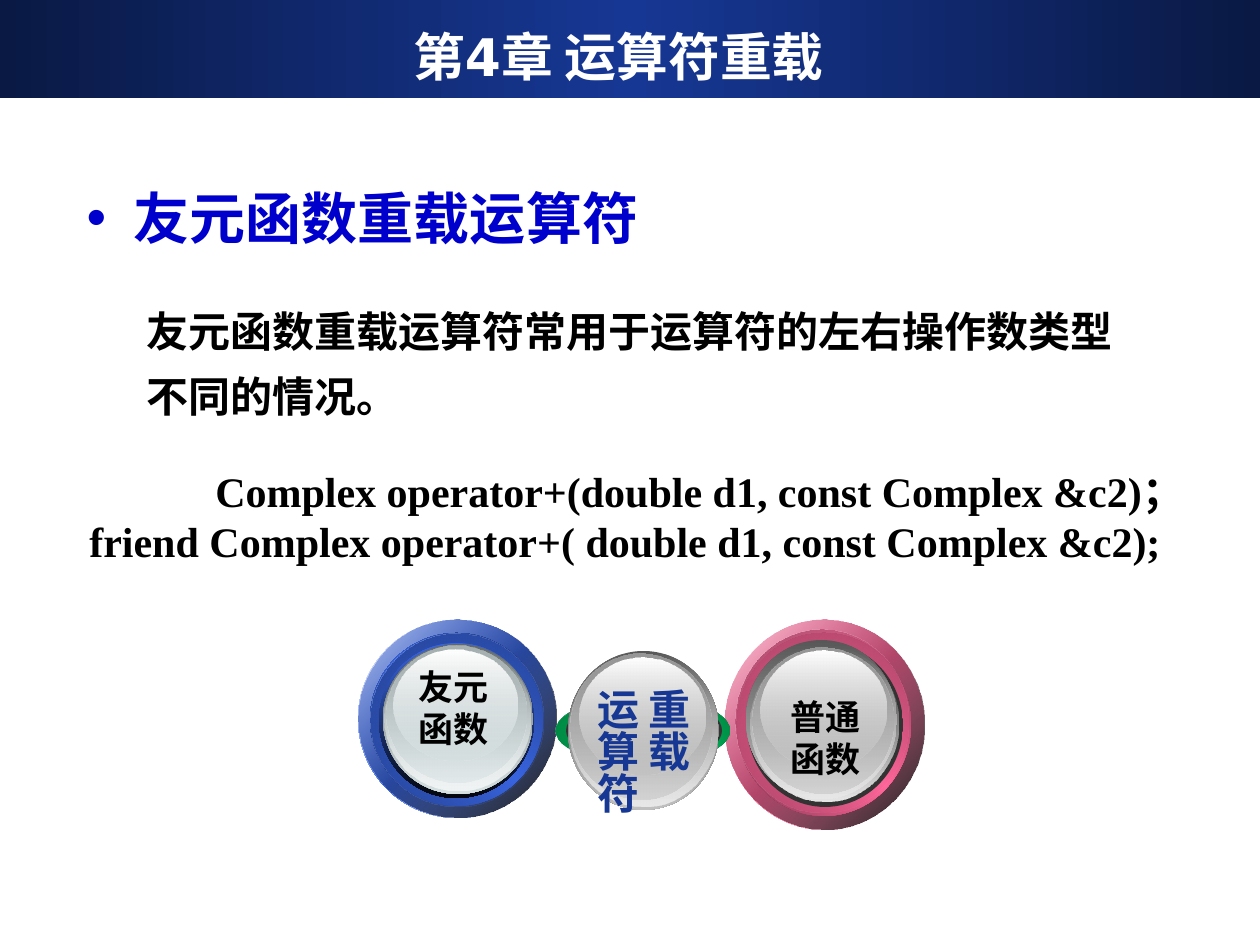
from typing import NamedTuple, Optional

from lxml.etree import SubElement
from pptx import Presentation
from pptx.dml.color import RGBColor
from pptx.enum.shapes import MSO_SHAPE
from pptx.enum.text import MSO_ANCHOR, MSO_AUTO_SIZE, PP_ALIGN
from pptx.oxml import parse_xml
from pptx.oxml.ns import nsdecls, qn
from pptx.util import Emu, Pt

WHITE = RGBColor(0xFF, 0xFF, 0xFF)
BLACK = RGBColor(0x00, 0x00, 0x00)
NAVY = RGBColor(0x16, 0x37, 0x94)
DEEP_NAVY = RGBColor(0x0A, 0x19, 0x44)
HEADING_BLUE = RGBColor(0x00, 0x00, 0xCC)
BULLET_RED = RGBColor(0xFF, 0x33, 0x00)
PINK = RGBColor(0xFF, 0x66, 0x99)
BLUE = RGBColor(0x39, 0x65, 0xE1)
GREEN = RGBColor(0x00, 0xCC, 0x66)
SILVER = RGBColor(0xC0, 0xC0, 0xC0)
ICE = RGBColor(0xD6, 0xE1, 0xE2)
CHARCOAL = RGBColor(0x33, 0x33, 0x33)
MIDNIGHT = RGBColor(0x03, 0x06, 0x0D)

CJK_FONT = "Noto Sans CJK SC"
PX = 914400 / 126


class Box(NamedTuple):
    left: int
    top: int
    width: int
    height: int


class Stop(NamedTuple):
    position: int
    color: RGBColor
    opacity: int = 100


class Style(NamedTuple):
    font: str
    size: float
    color: RGBColor
    align: PP_ALIGN = PP_ALIGN.LEFT
    spacing: float = 1.0


class Button(NamedTuple):
    accent: RGBColor
    glass: RGBColor
    well: tuple[RGBColor, RGBColor]
    rim: Box
    groove: Box
    bevel: Box
    hollow: Box
    lens: Box
    glow: Box
    dim: Box
    shine: Box
    lines: tuple[str, ...]
    label: Optional[Box] = None  # without a label box the text sits in the shine


BUTTONS = (
    Button(PINK, SILVER, (CHARCOAL, CHARCOAL),
           Box(725, 620, 199, 210), Box(737, 633, 174, 183),
           Box(735, 630, 173, 183), Box(747, 643, 156, 164),
           Box(746, 640, 151, 159), Box(751, 646, 147, 155),
           Box(753, 648, 140, 145), Box(761, 651, 125, 117),
           ("普通", "函数"), Box(779, 689, 94, 97)),
    Button(BLUE, ICE, (BLUE, MIDNIGHT),
           Box(358, 620, 198, 198), Box(370, 633, 173, 173),
           Box(370, 634, 173, 173), Box(379, 643, 155, 155),
           Box(383, 644, 150, 150), Box(384, 645, 146, 146),
           Box(387, 646, 140, 137), Box(394, 650, 123, 111),
           ("友元", "函数"), Box(407, 659, 94, 97)),
    Button(GREEN, SILVER, (CHARCOAL, CHARCOAL),
           Box(568, 697, 25, 67), Box(556, 697, 174, 67),
           Box(556, 697, 173, 67), Box(566, 697, 156, 67),
           Box(568, 651, 151, 159), Box(570, 651, 147, 155),
           Box(571, 654, 140, 145), Box(580, 658, 125, 117),
           ("重载", "运算符")),
)


def place(box: Box) -> tuple[Emu, ...]:
    return tuple(Emu(round(value * PX)) for value in box)


def move(shape, box: Box) -> None:
    shape.left, shape.top, shape.width, shape.height = place(box)


def darker(color: RGBColor, factor: float) -> RGBColor:
    return RGBColor(*(round(channel * factor) for channel in color))


def lighter(color: RGBColor, factor: float) -> RGBColor:
    return RGBColor(*(round(c + (255 - c) * factor) for c in color))


def add_gradient(slide, kind: MSO_SHAPE, box: Box, angle: int, *stops: Stop):
    shape = slide.shapes.add_shape(kind, *place(box))
    shape.shadow.inherit = False
    shape.line.fill.background()
    marks = "".join(
        f'<a:gs pos="{s.position * 1000}"><a:srgbClr val="{s.color}">'
        f'<a:alpha val="{s.opacity * 1000}"/></a:srgbClr></a:gs>'
        for s in stops)
    gradient = parse_xml(
        f'<a:gradFill {nsdecls("a")} rotWithShape="1"><a:gsLst>{marks}</a:gsLst>'
        f'<a:lin ang="{angle * 60000}" scaled="0"/></a:gradFill>')
    shape.element.spPr.find(qn("a:prstGeom")).addnext(gradient)
    return shape


def write(shape, lines: tuple[str, ...], style: Style, wrap: bool = True,
          anchor: MSO_ANCHOR = MSO_ANCHOR.TOP) -> None:
    frame = shape.text_frame
    frame.text = "\n".join(lines)
    frame.word_wrap = wrap
    frame.auto_size = MSO_AUTO_SIZE.NONE
    frame.vertical_anchor = anchor
    for paragraph in frame.paragraphs:
        paragraph.alignment = style.align
        paragraph.line_spacing = style.spacing
        paragraph.space_before = Pt(0)
        for run in paragraph.runs:
            run.font.name = style.font
            run.font.size = Pt(style.size)
            run.font.bold = True
            run.font.color.rgb = style.color
            SubElement(run.font._element, qn("a:ea"), typeface=CJK_FONT)


def add_text(slide, box: Box, lines: tuple[str, ...], style: Style, **layout) -> None:
    write(slide.shapes.add_textbox(*place(box)), lines, style, **layout)


def add_bullet(paragraph, mark: str, color: RGBColor, indent: int) -> None:
    properties = paragraph._p.get_or_add_pPr()
    properties.set("marL", str(round(indent * PX)))
    properties.set("indent", str(-round(indent * PX)))
    bullet_color = SubElement(properties, qn("a:buClr"))
    SubElement(bullet_color, qn("a:srgbClr"), val=str(color))
    SubElement(properties, qn("a:buChar"), char=mark)


def add_button(slide, button: Button) -> None:
    accent, glass = button.accent, button.glass
    groove = darker(accent, 0.54)
    layers = (
        (button.rim, 45, Stop(0, WHITE), Stop(50, accent), Stop(100, WHITE)),
        (button.rim, 45, Stop(0, accent, 32), Stop(100, BLACK, 90)),
        (button.groove, 315, Stop(0, groove), Stop(50, accent), Stop(100, groove)),
        (button.bevel, 45, Stop(0, darker(accent, 0.64)), Stop(100, accent, 0)),
        (button.hollow, 90, Stop(0, button.well[0]), Stop(100, button.well[1])),
        (button.lens, 90, Stop(0, darker(glass, 0.46)), Stop(100, glass)),
        (button.glow, 90, Stop(0, glass, 0), Stop(100, lighter(glass, 0.65))),
        (button.dim, 90, Stop(0, darker(glass, 0.79)), Stop(100, glass, 48)),
        (button.shine, 90, Stop(0, WHITE), Stop(100, glass, 38)),
    )
    for box, angle, *stops in layers:
        shine = add_gradient(slide, MSO_SHAPE.OVAL, box, angle, *stops)
    if button.label:
        add_text(slide, button.label, button.lines,
                 Style("Arial", 20, BLACK, PP_ALIGN.CENTER), wrap=False)
        return
    # Vertical label, columns running from right to left
    write(shine, button.lines, Style("Arial", 24, NAVY), wrap=False,
          anchor=MSO_ANCHOR.MIDDLE)
    frame = shine.text_frame
    frame.margin_left = frame.margin_right = Emu(round(6 * PX))
    frame.margin_top = frame.margin_bottom = Emu(round(13 * PX))
    frame._txBody.bodyPr.set("vert", "eaVert")


def main() -> None:
    presentation = Presentation()
    presentation.slide_width, presentation.slide_height = place(Box(0, 0, 1260, 945))[2:]
    slide = presentation.slides.add_slide(presentation.slide_layouts[1])
    chapter, heading = slide.placeholders

    # Chapter banner, behind its title
    banner = add_gradient(slide, MSO_SHAPE.RECTANGLE, Box(0, 0, 1260, 98), 0,
                          Stop(0, DEEP_NAVY), Stop(50, NAVY), Stop(100, DEEP_NAVY))
    chapter.element.addprevious(banner.element)
    move(chapter, Box(36, 21, 1165, 78))
    write(chapter, ("第4章 运算符重载",),
          Style("DejaVu Sans", 29.6, WHITE, PP_ALIGN.CENTER, 0.9),
          anchor=MSO_ANCHOR.MIDDLE)

    # Section heading and explanation
    move(heading, Box(74, 175, 777, 84))
    add_bullet(heading.text_frame.paragraphs[0], "➢", BULLET_RED, 48)
    write(heading, ("友元函数重载运算符",), Style(CJK_FONT, 32, HEADING_BLUE),
          anchor=MSO_ANCHOR.MIDDLE)
    add_text(slide, Box(134, 284, 1032, 275),
             ("友元函数重载运算符常用于运算符的左右操作数类型不同的情况。",),
             Style("Times New Roman", 24, BLACK, spacing=1.3))

    # Glossy buttons
    for button in BUTTONS:
        add_button(slide, button)

    # Declarations
    add_text(slide, Box(77, 459, 1130, 113),
             ("            Complex operator+(double d1, const Complex &c2)；",
              "friend Complex operator+( double d1, const Complex &c2);"),
             Style("Times New Roman", 24, BLACK), wrap=False,
             anchor=MSO_ANCHOR.MIDDLE)

    presentation.save("out.pptx")


if __name__ == "__main__":
    main()
